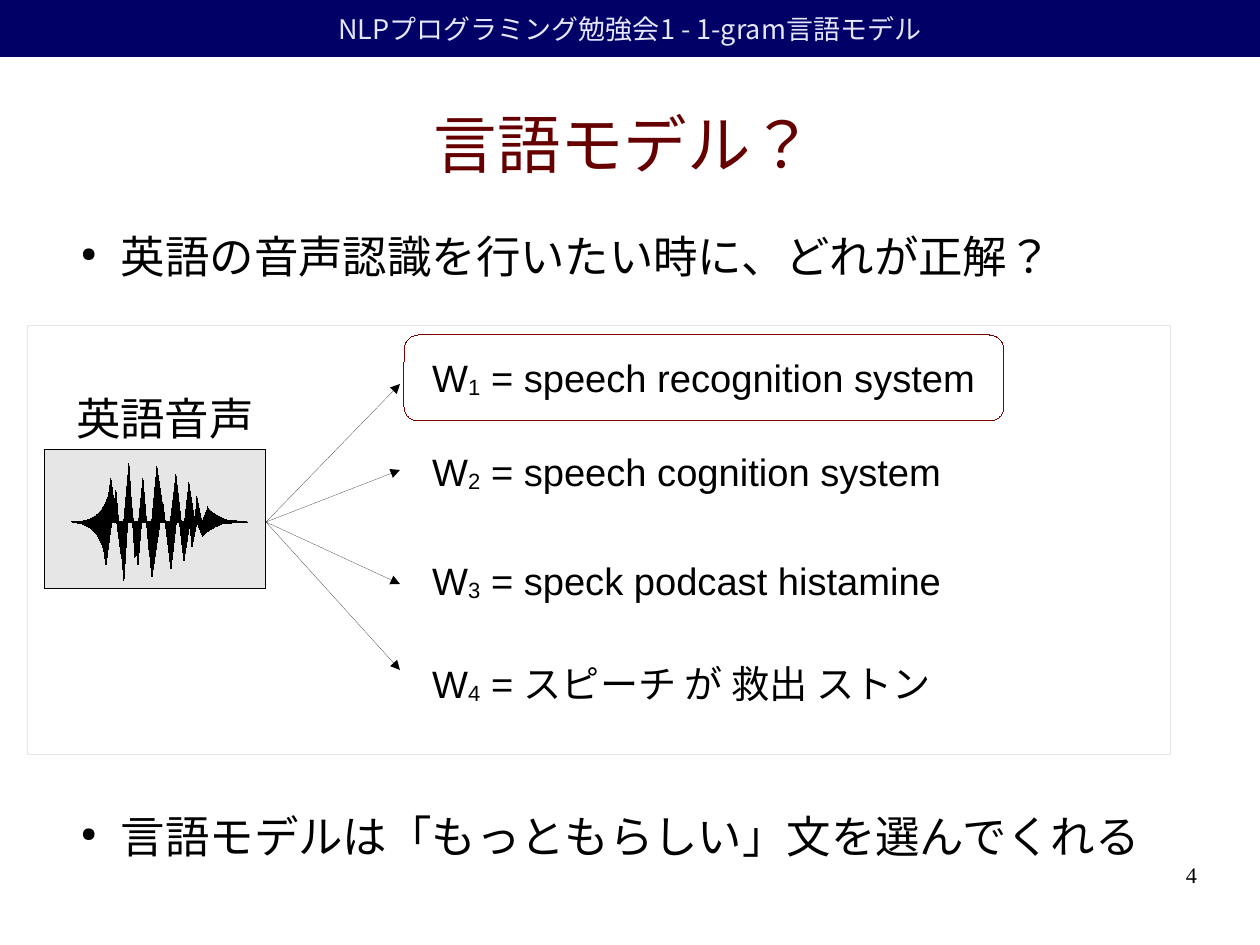
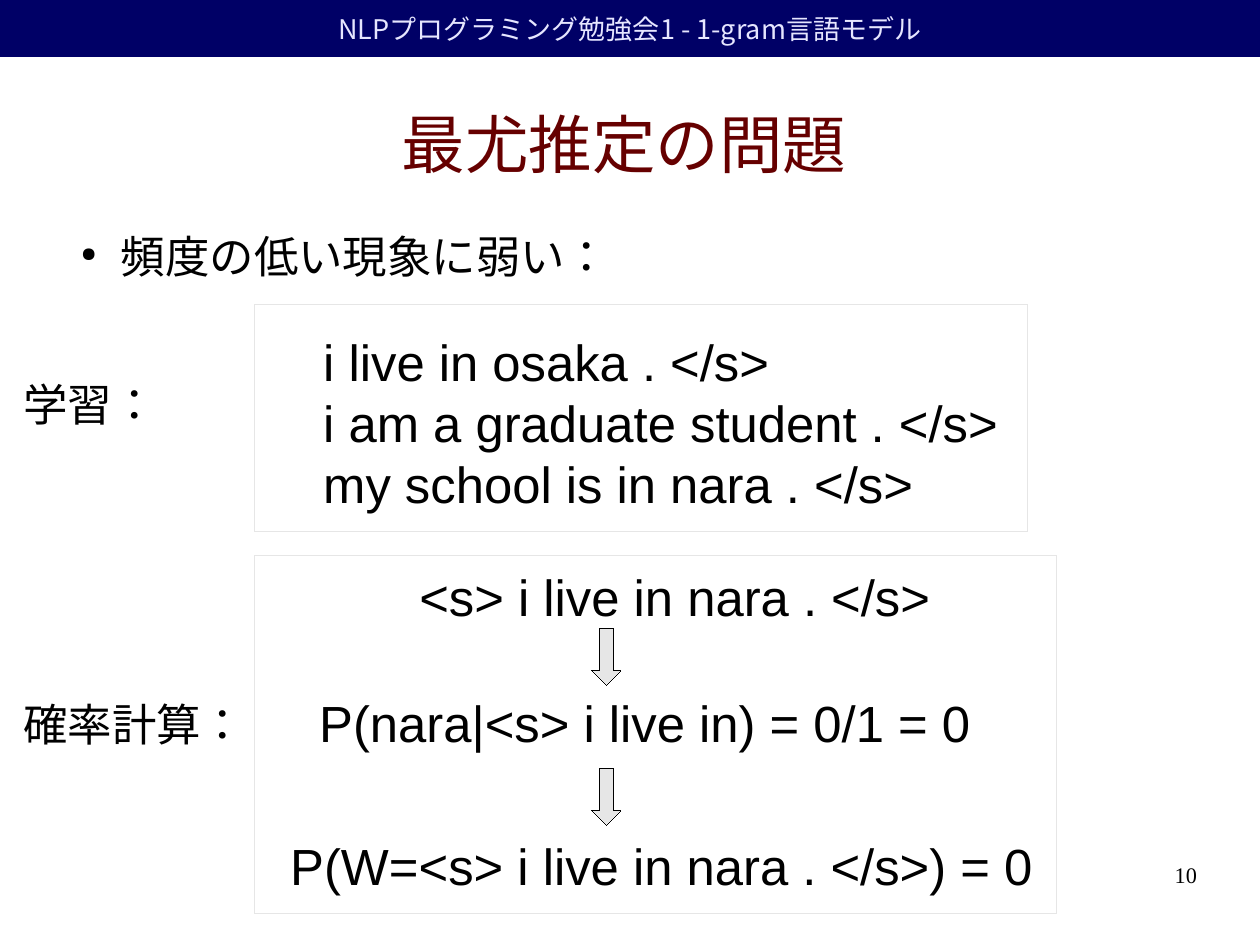
from lxml.etree import SubElement
from pptx import Presentation
from pptx.dml.color import RGBColor
from pptx.enum.lang import MSO_LANGUAGE_ID
from pptx.enum.shapes import MSO_CONNECTOR, MSO_SHAPE
from pptx.enum.text import MSO_ANCHOR, MSO_AUTO_SIZE, PP_ALIGN
from pptx.oxml.ns import qn
from pptx.util import Emu, Pt

EMU_PER_PX = 8000
BLANK_LAYOUT = 6
HEADER_TEXT = "NLPプログラミング勉強会1 - 1-gram言語モデル"
NAVY, LAVENDER, MAROON, RED = "000066", "E6E6FF", "660000", "800000"
BLACK, GREY = "000000", "E6E6E6"
LATIN_FONT, JAPANESE_FONT, NUMBER_FONT = "Arial", "Noto Sans CJK JP", "Times New Roman"
PAGE_WIDTH, PAGE_HEIGHT = 1260, 945


def px(length):
    return Emu(round(length * EMU_PER_PX))


def color(value):
    return RGBColor.from_string(value)


def cubic(start, first, second, end, steps=8):
    points = []
    for step in range(1, steps + 1):
        t = step / steps
        weights = ((1 - t) ** 3, 3 * t * (1 - t) ** 2, 3 * t * t * (1 - t), t ** 3)
        corners = (start, first, second, end)
        points.append(tuple(sum(weight * corner[axis] for weight, corner in zip(weights, corners))
                            for axis in (0, 1)))
    return points


class Deck:
    """Holds the shared style and the current slide, and draws each kind of element."""

    def __init__(self):
        self.presentation = Presentation()
        self.presentation.slide_width = px(PAGE_WIDTH)
        self.presentation.slide_height = px(PAGE_HEIGHT)
        self.slide = None

    def new_slide(self, title, number):
        layout = self.presentation.slide_layouts[BLANK_LAYOUT]
        self.slide = self.presentation.slides.add_slide(layout)
        band = self.shape(MSO_SHAPE.RECTANGLE, 0, 0, PAGE_WIDTH, 57, fill=NAVY)
        self.fill_text(band.text_frame, [[HEADER_TEXT]], 17, LAVENDER, JAPANESE_FONT,
                       alignment=PP_ALIGN.CENTER)
        self.text(57, 71, 1134, 145, [[title]], 40, MAROON, margin=0, wrap=True,
                  anchor=MSO_ANCHOR.MIDDLE, alignment=PP_ALIGN.CENTER)
        self.text(903, 861, 294, 65, [[number]], 14, font_name=NUMBER_FONT, margin=0,
                  wrap=True, alignment=PP_ALIGN.RIGHT)

    def hairline(self, shape, line):
        shape.line.color.rgb = color(line)
        shape.line.width = Emu(0)

    def drop_theme_style(self, shape):
        element = shape._element
        element.remove(element.find(qn("p:style")))

    def paint(self, shape, fill=None, line=None):
        self.drop_theme_style(shape)
        shape.shadow.inherit = False
        if fill:
            shape.fill.solid()
            shape.fill.fore_color.rgb = color(fill)
        else:
            shape.fill.background()
        if line:
            self.hairline(shape, line)
        else:
            shape.line.fill.background()
        return shape

    def shape(self, kind, left, top, width, height, fill=None, line=None):
        shape = self.slide.shapes.add_shape(kind, px(left), px(top), px(width), px(height))
        return self.paint(shape, fill, line)

    def panel(self, left, top, width, height):
        self.shape(MSO_SHAPE.RECTANGLE, left, top, width, height, line=GREY)

    def outline(self, points):
        builder = self.slide.shapes.build_freeform(*points[0], scale=EMU_PER_PX)
        builder.add_line_segments(points[1:], close=True)
        self.paint(builder.convert_to_shape(), BLACK, BLACK)

    def arrow(self, start, end):
        connector = self.slide.shapes.add_connector(
            MSO_CONNECTOR.STRAIGHT, *(px(value) for value in start + end))
        self.drop_theme_style(connector)
        self.hairline(connector, BLACK)
        SubElement(connector.line._get_or_add_ln(), qn("a:tailEnd"), type="triangle")
        SubElement(connector._element.spPr, qn("a:effectLst"))

    def text(self, left, top, width, height, lines, size, text_color=BLACK,
             font_name=LATIN_FONT, margin=None, wrap=False, anchor=MSO_ANCHOR.TOP,
             alignment=PP_ALIGN.LEFT):
        box = self.slide.shapes.add_textbox(px(left), px(top), px(width), px(height))
        frame = box.text_frame
        values = {"word_wrap": wrap, "vertical_anchor": anchor,
                  "auto_size": MSO_AUTO_SIZE.NONE if wrap else MSO_AUTO_SIZE.SHAPE_TO_FIT_TEXT}
        if margin is not None:
            for side in ("left", "top", "right", "bottom"):
                values[f"margin_{side}"] = px(margin)
        for name, value in values.items():
            setattr(frame, name, value)
        self.fill_text(frame, lines, size, text_color, font_name, alignment)
        return frame

    def fill_text(self, frame, lines, size, text_color, font_name, alignment):
        values = {"size": Pt(size), "name": font_name, "language_id": MSO_LANGUAGE_ID.JAPANESE}
        for index, parts in enumerate(lines):
            paragraph = frame.add_paragraph() if index else frame.paragraphs[0]
            paragraph.alignment = alignment
            for position, part in enumerate(parts):
                run = paragraph.add_run()
                run.text = part
                for name, value in values.items():
                    setattr(run.font, name, value)
                run.font.color.rgb = color(text_color)
                properties = run._r.get_or_add_rPr()
                SubElement(properties, qn("a:ea"), typeface=JAPANESE_FONT)
                if position == 1:
                    properties.set("baseline", "-8000")

    def bullet(self, top, content):
        frame = self.text(67, top, 1134, 64, [[content]], 28, margin=0, wrap=True)
        paragraph = frame.paragraphs[0]
        properties = paragraph._p.get_or_add_pPr()
        properties.set("marL", str(px(54)))
        properties.set("indent", str(px(-40)))
        bullet_color = SubElement(properties, qn("a:buClr"))
        SubElement(bullet_color, qn("a:srgbClr"), val=BLACK)
        SubElement(properties, qn("a:buSzPct"), val="45000")
        SubElement(properties, qn("a:buChar"), char="●")
        paragraph.space_after = Pt(14.2)

    def save(self):
        self.presentation.save("out.pptx")


def draw_waveform(deck):
    middle = 522
    peaks = [(121, -31), (129, 58), (135, -35), (143, 43), (149, -28), (157, 55),
             (168, -19), (176, 47), (183, -14), (189, 39), (195, 0), (197, 25),
             (202, 0), (208, 15)]
    rise = cubic((77, 0), (111, 0), (111, 43), (111, 43))
    decay = cubic((208, 15), (208, 15), (214, 0), (248, 0))
    wave = [(77, 0)] + rise + peaks + decay
    for direction, shift in ((-1, 0), (1, -5)):
        deck.outline([(x + shift, middle + direction * height) for x, height in wave])


def language_model_slide(deck):
    deck.new_slide("言語モデル？", "4")
    deck.bullet(229, "英語の音声認識を行いたい時に、どれが正解？")
    deck.shape(MSO_SHAPE.RECTANGLE, 45, 449, 221, 140, GREY, BLACK)
    deck.text(65, 385, 212, 75, [["英語音声"]], 28)
    draw_waveform(deck)
    candidates = [
        (384, 349, 566, "speech recognition system"),
        (470, 443, 532, "speech cognition system"),
        (584, 552, 532, "speck podcast histamine"),
        (670, 655, 541, "スピーチ が 救出 ストン"),
    ]
    for number, (arrow_end, top, width, words) in enumerate(candidates, 1):
        deck.arrow((266, 522), (400, arrow_end))
        deck.text(421, top, width, 66, [["W", str(number), f" = {words}"]], 24)
    deck.bullet(809, "言語モデルは「もっともらしい」文を選んでくれる")
    deck.shape(MSO_SHAPE.ROUNDED_RECTANGLE, 404, 335, 600, 86, line=RED)
    deck.panel(28, 326, 1143, 429)


def estimation_slide(deck):
    deck.new_slide("最尤推定の問題", "10")
    deck.bullet(229, "頻度の低い現象に弱い：")
    deck.panel(255, 304, 773, 228)
    deck.panel(255, 556, 802, 358)
    sentences = ["i live in osaka . </s>", "i am a graduate student . </s>",
                 "my school is in nara . </s>"]
    deck.text(312, 325, 700, 182, [[sentence] for sentence in sentences], 32)
    for top, width, label in ((371, 168, "学習："), (691, 257, "確率計算：")):
        deck.text(12, top, width, 63, [[label]], 28)
    for left, top, width, formula in (
            (408, 560, 535, "<s> i live in nara . </s>"),
            (308, 686, 675, "P(nara|<s> i live in) = 0/1 = 0"),
            (279, 829, 767, "P(W=<s> i live in nara . </s>) = 0")):
        deck.text(left, top, width, 69, [[formula]], 32)
    for top in (628, 768):
        deck.shape(MSO_SHAPE.DOWN_ARROW, 592, top, 29, 57, GREY, BLACK)


def main():
    deck = Deck()
    language_model_slide(deck)
    estimation_slide(deck)
    deck.save()


if __name__ == "__main__":
    main()
